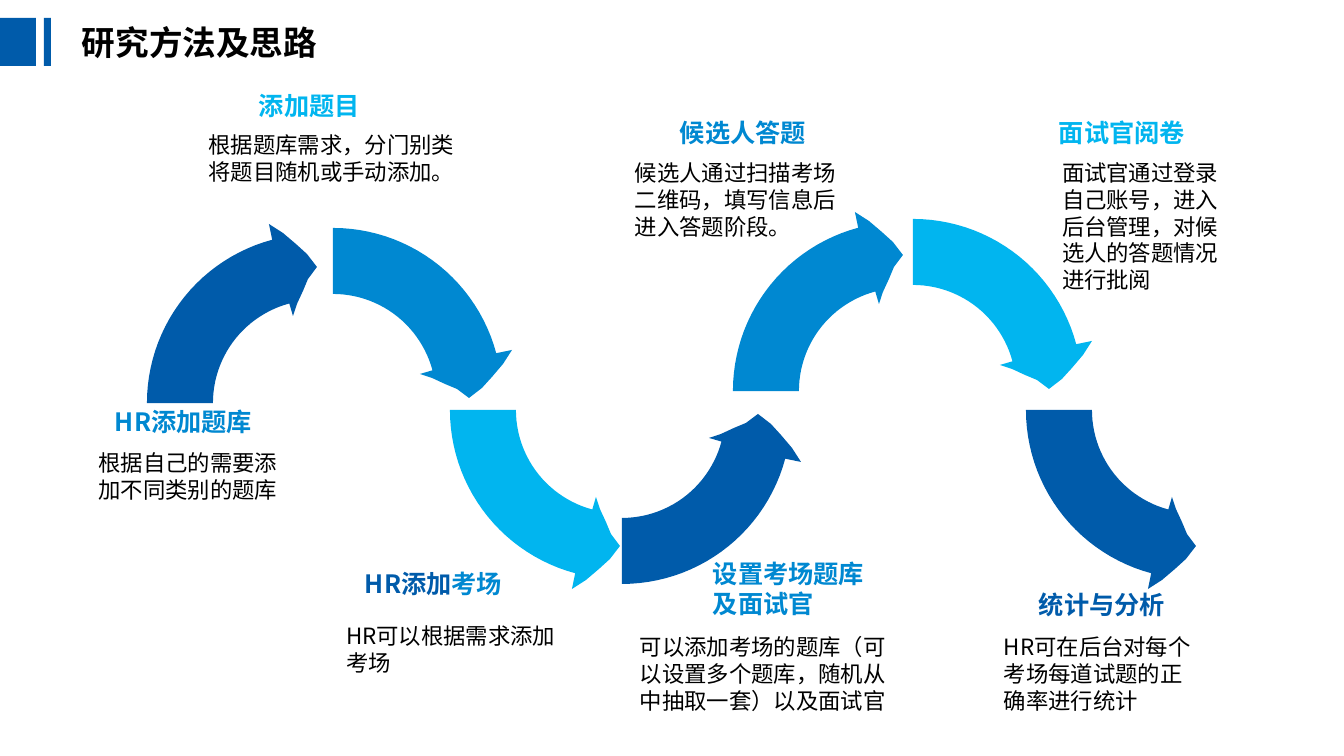
import math

import lxml.etree
import pptx
import pptx.dml.color
import pptx.enum.shapes
import pptx.enum.text
import pptx.oxml.ns
import pptx.util

EMU_PER_PX = 12192000 / 1344
FONT = "Noto Sans CJK SC"
NAVY, BLUE, SKY, BLACK = "005BAA", "0088D1", "01B5EF", "000000"
LEFT = pptx.enum.text.PP_ALIGN.LEFT
CENTER = pptx.enum.text.PP_ALIGN.CENTER

OUTER, INNER, SWEEP, STEPS = 169, 103, 75, 25
# Outline of the arrowhead as (towards tail, along travel) from the arc centre.
HEAD = [(47, 179), (33, 170), (20, 159), (9, 149), (-1, 136),
        (8, 124), (13, 112), (19, 99), (23, 87)]


def px(n):
    return pptx.util.Emu(round(n * EMU_PER_PX))


def rgb(color):
    return pptx.dml.color.RGBColor.from_string(color)


def arc(radius):
    """Points from the tail axis round to the arrowhead."""
    angles = [math.radians(SWEEP * i / STEPS) for i in range(STEPS + 1)]
    return [(radius * math.cos(a), radius * math.sin(a)) for a in angles]


class Deck:
    def __init__(self):
        self.prs = pptx.Presentation()
        self.prs.slide_width, self.prs.slide_height = px(1344), px(756)
        self.slide = self.prs.slides.add_slide(self.prs.slide_layouts[6])

    def paint(self, sp, color):
        sp.shadow.inherit = False
        sp.fill.solid()
        sp.fill.fore_color.rgb = rgb(color)
        sp.line.fill.background()

    def bar(self, x, y, w, h, color):
        kind = pptx.enum.shapes.MSO_SHAPE.RECTANGLE
        sp = self.slide.shapes.add_shape(kind, px(x), px(y), px(w), px(h))
        self.paint(sp, color)

    def curved_arrow(self, cx, cy, tail, travel, color):
        """Quarter-ring arrow; tail and travel are unit vectors from its centre."""
        outline = arc(OUTER) + HEAD + arc(INNER)[::-1]
        points = [(px(cx + u * tail[0] + v * travel[0]),
                   px(cy + u * tail[1] + v * travel[1])) for u, v in outline]
        builder = self.slide.shapes.build_freeform(*points[0], scale=1.0)
        builder.add_line_segments(points[1:], close=True)
        self.paint(builder.convert_to_shape(), color)

    def text(self, x, y, w, h, runs, size, bold=False, align=LEFT, inset=(10, 5)):
        """Text box; runs is a list of (wording, colour)."""
        tf = self.slide.shapes.add_textbox(px(x), px(y), px(w), px(h)).text_frame
        tf.word_wrap = True
        tf.margin_left = tf.margin_right = px(inset[0])
        tf.margin_top = tf.margin_bottom = px(inset[1])
        p = tf.paragraphs[0]
        p.alignment = align
        for wording, color in runs:
            r = p.add_run()
            r.text = wording
            r.font.size = pptx.util.Pt(size)
            r.font.bold = bold
            r.font.name = FONT
            r.font.color.rgb = rgb(color)
            ea = lxml.etree.SubElement(r.font._element, pptx.oxml.ns.qn("a:ea"))
            ea.set("typeface", FONT)

    def heading(self, x, y, w, h, *runs):
        self.text(x, y, w, h, runs, 18, bold=True)

    def body(self, x, y, w, h, wording, align=LEFT):
        self.text(x, y, w, h, [(wording, BLACK)], 16, align=align, inset=(13, 7))


def main():
    deck = Deck()
    deck.bar(0, 18, 36, 48, NAVY)
    deck.bar(44, 18, 7, 48, NAVY)
    deck.text(72, 17, 388, 50, [("研究方法及思路", BLACK)], 24, bold=True)

    left, right, up, down = (-1, 0), (1, 0), (0, -1), (0, 1)
    for arrow in [
        (316, 403, left, up, NAVY),
        (333, 397, up, right, BLUE),
        (619, 410, left, down, SKY),
        (622, 415, down, right, NAVY),
        (902, 391, left, up, BLUE),
        (913, 388, up, right, SKY),
        (1195, 410, left, down, NAVY),
    ]:
        deck.curved_arrow(*arrow)

    for heading in [
        (105, 401, 165, 40, ("HR添加题库", BLUE)),
        (249, 85, 126, 40, ("添加题目", SKY)),
        (355, 563, 176, 40, ("HR添加", NAVY), ("考场", BLUE)),
        (703, 553, 183, 72, ("设置考场题库及面试官", BLUE)),
        (670, 112, 158, 40, ("候选人答题", BLUE)),
        (1049, 112, 162, 40, ("面试官阅卷", SKY)),
        (1029, 584, 165, 40, ("统计与分析", NAVY)),
    ]:
        deck.heading(*heading)

    for body in [
        (80, 442, 216, 39, "根据自己的需要添加不同类别的题库", CENTER),
        (185, 124, 293, 67, "根据题库需求，分门别类将题目随机或手动添加。", CENTER),
        (333, 615, 251, 75, "HR可以根据需求添加考场"),
        (627, 626, 276, 97, "可以添加考场的题库（可以设置多个题库，随机从中抽取一套）以及面试官"),
        (622, 152, 233, 102, "候选人通过扫描考场二维码，填写信息后进入答题阶段。"),
        (1049, 152, 203, 134, "面试官通过登录自己账号，进入后台管理，对候选人的答题情况进行批阅"),
        (991, 626, 227, 128, "HR可在后台对每个考场每道试题的正确率进行统计"),
    ]:
        deck.body(*body)

    deck.prs.save("out.pptx")


if __name__ == "__main__":
    main()
